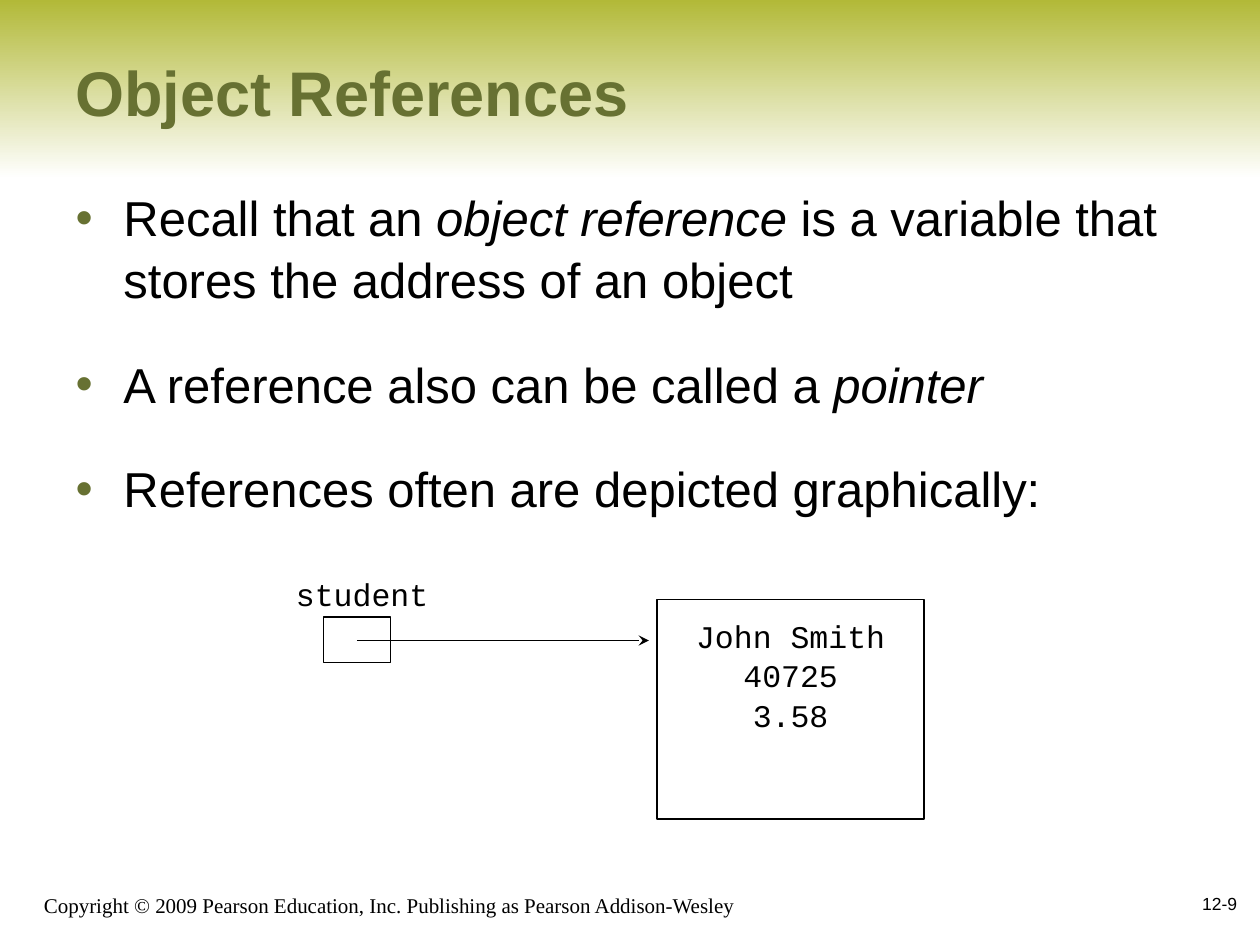
from lxml import etree
from pptx import Presentation
from pptx.dml.color import RGBColor
from pptx.enum.shapes import MSO_CONNECTOR, MSO_SHAPE
from pptx.enum.text import MSO_ANCHOR, MSO_AUTO_SIZE, PP_ALIGN
from pptx.oxml.ns import qn
from pptx.util import Inches, Pt

RECT = MSO_SHAPE.RECTANGLE
TOP, MIDDLE, BOTTOM = MSO_ANCHOR.TOP, MSO_ANCHOR.MIDDLE, MSO_ANCHOR.BOTTOM
LEFT, CENTER, RIGHT = PP_ALIGN.LEFT, PP_ALIGN.CENTER, PP_ALIGN.RIGHT
BLACK = RGBColor(0, 0, 0)
WHITE = RGBColor(255, 255, 255)
OLIVE = RGBColor(0x67, 0x71, 0x32)
LIME = RGBColor(0xB2, 0xB9, 0x38)

deck = Presentation()
deck.slide_width, deck.slide_height = Inches(10), Inches(7.5)
COL, ROW = deck.slide_width / 120, deck.slide_height / 90
slide = deck.slides.add_slide(deck.slide_layouts[1])
shapes = slide.shapes


def grid(left, top, wide, high):
    return [int(n) for n in (left * COL, top * ROW, wide * COL, high * ROW)]


def style(frame, face, size, color=BLACK, align=LEFT, anchor=TOP, wrap=True):
    frame.auto_size = MSO_AUTO_SIZE.NONE
    frame.word_wrap = wrap
    frame.vertical_anchor = anchor
    for para in frame.paragraphs:
        para.alignment = align
        para.line_spacing = 1.05
        for run in para.runs:
            run.font.name = face
            run.font.size = Pt(size)
            run.font.color.rgb = color


band = shapes.add_shape(RECT, *grid(0, 0, 120, 17))
band.shadow.inherit = False
band.line.fill.background()
band.fill.gradient()
band.fill.gradient_angle = 270
for stop, color, spot in zip(band.fill.gradient_stops, (LIME, WHITE), (0, 1)):
    stop.color.rgb = color
    stop.position = spot
tree = band.element.getparent()
tree.insert(2, band.element)

title = shapes.title
title.left, title.top, title.width, title.height = grid(6, 1, 109, 15)
title.text_frame.text = "Object References"
style(title.text_frame, "Arial", 36, OLIVE, anchor=MIDDLE)
title.text_frame.paragraphs[0].runs[0].font.bold = True

body = slide.placeholders[1]
body.left, body.top, body.width, body.height = grid(6, 17, 109, 54)
points = [
    ("Recall that an ", "object reference",
     " is a variable that stores the address of an object"),
    ("A reference also can be called a ", "pointer"),
    ("References often are depicted graphically:",),
]
frame = body.text_frame
for row, parts in enumerate(points):
    para = frame.add_paragraph() if row else frame.paragraphs[0]
    for spot, part in enumerate(parts):
        run = para.add_run()
        run.text = part
        run.font.italic = spot == 1
    para.space_before = Pt(24.5 if row else 0)
    props = para._p.get_or_add_pPr()
    props.set("marL", str(Inches(0.38)))
    props.set("indent", str(-Inches(0.38)))
    tint = etree.SubElement(props, qn("a:buClr"))
    etree.SubElement(tint, qn("a:srgbClr")).set("val", str(OLIVE))
    etree.SubElement(props, qn("a:buFont")).set("typeface", "Arial")
    etree.SubElement(props, qn("a:buChar")).set("char", "•")
style(frame, "Arial", 28)

labels = [
    ("Copyright © 2009 Pearson Education, Inc. Publishing as Pearson Addison-Wesley",
     (3, 83, 73, 5), "Times New Roman", 12, LEFT, BOTTOM, True),
    ("12-9", (94, 83, 25, 6), "Arial", 10, RIGHT, MIDDLE, True),
    ("student", (27, 54, 15, 4.8), "Courier New", 18, LEFT, TOP, False),
]
for text, area, face, size, align, anchor, wrap in labels:
    label = shapes.add_textbox(*grid(*area))
    label.text_frame.text = text
    style(label.text_frame, face, size, BLACK, align, anchor, wrap)

cells = [("", (30.8, 58.8, 6.4, 4.3)),
         ("John Smith\n40725\n3.58", (62.6, 57.1, 25.4, 20.9))]
for text, area in cells:
    cell = shapes.add_shape(RECT, *grid(*area))
    cell.shadow.inherit = False
    cell.fill.background()
    cell.line.color.rgb = BLACK
    cell.line.width = Pt(1)
    if text:
        cell.text_frame.text = text
        cell.text_frame.margin_top = Inches(0.12)
        style(cell.text_frame, "Courier New", 18, align=CENTER, wrap=False)

arrow = shapes.add_connector(MSO_CONNECTOR.STRAIGHT, *grid(34, 61, 61.8, 61))
arrow.line.color.rgb = BLACK
arrow.line.width = Pt(1)
etree.SubElement(arrow.line._get_or_add_ln(), qn("a:tailEnd")).set("type", "stealth")
etree.SubElement(arrow._element.spPr, qn("a:effectLst"))

deck.save("out.pptx")
